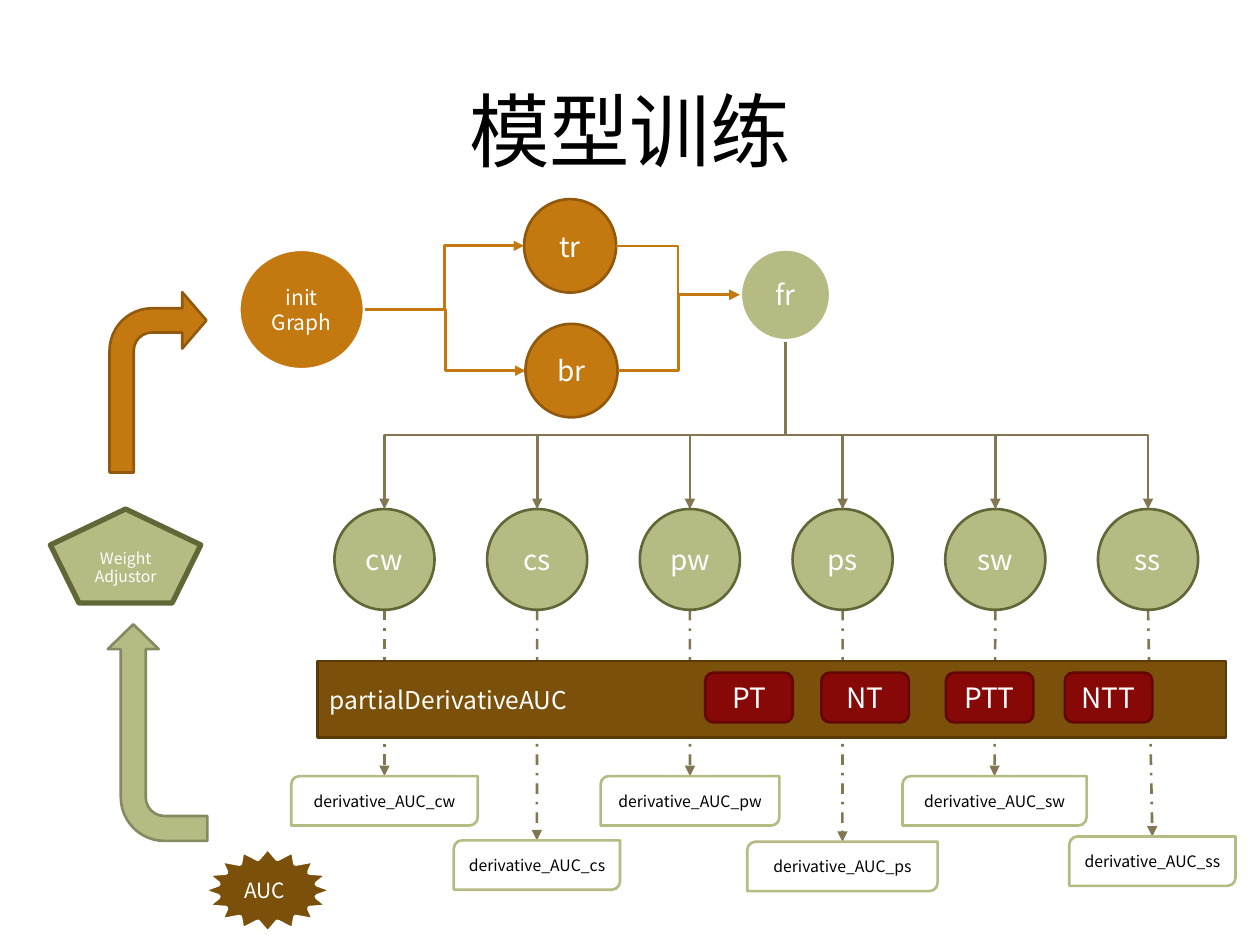
from lxml.etree import SubElement
from pptx import Presentation
from pptx.dml.color import RGBColor
from pptx.enum.dml import MSO_LINE as Dash
from pptx.enum.shapes import MSO_CONNECTOR as Link, MSO_SHAPE as Form
from pptx.enum.text import MSO_ANCHOR as Anchor, PP_ALIGN as Align
from pptx.oxml.ns import qn
from pptx.util import Pt

FONT = "Noto Sans CJK SC"
COLORS = {
    "white": "FFFFFF", "black": "000000", "taupe": "827752",
    "orange": "C47810", "dark orange": "91590C",
    "sage": "B5BB83", "olive": "626738", "dull sage": "868A61",
    "brown": "7A500A", "dark brown": "5A3B07",
    "red": "860908", "dark red": "630706",
}

# Content: lengths in points
TITLE = "模型训练"
# name: (lines, left, top, width, height, fill, outline, outline width, text size)
GRAPH_NODES = {
    "init": (["init", "Graph"], 136, 142, 72.7, 69.8, "orange", "white", 3, 12),
    "tr": (["tr"], 299.5, 113.8, 52.6, 53.4, "orange", "dark orange", 1.5, 16),
    "br": (["br"], 300.3, 185.1, 52.6, 53.4, "orange", "dark orange", 1.5, 16),
    "fr": (["fr"], 422.6, 141.8, 52.6, 53.4, "sage", "white", 3, 16),
}
GRAPH_LINKS = [("init", "tr"), ("init", "br"), ("tr", "fr"), ("br", "fr")]
# feature, left, top and width of its derivative box
FEATURES = [
    ("cw", 166.4, 443.5, 106.6), ("cs", 259.3, 480.2, 95),
    ("pw", 343.2, 443.5, 102.2), ("ps", 427, 481, 108.8),
    ("sw", 515.7, 443.5, 105.2), ("ss", 611, 478, 95),
]
SAMPLE_SETS = [("PT", 403), ("NT", 469.4), ("PTT", 540.5), ("NTT", 608.5)]
# left, top, width, height, rotation, adjustments, fill, outline
FEEDBACK_ARROWS = [
    (28.1, 390.2, 123.8, 56.9, 90, (.25, .256, .25, .438), "sage", "dull sage"),
    (62.6, 167, 55.4, 103, 180, (.25, .291, .25, .438), "orange", "dark orange"),
]
FIRST_CENTER, PITCH = 219.7, 87.27
CIRCLE_W, CIRCLE_H, CIRCLE_TOP = 57.2, 57.6, 290.9
BUS_SHARE = .559
BOX_H = 28.2

deck = Presentation()
deck.slide_width, deck.slide_height = Pt(720), Pt(540)
slide = deck.slides.add_slide(deck.slide_layouts[5])
shapes = slide.shapes


def color(name):
    return RGBColor.from_string(COLORS[name])


def write(frame, lines, size, ink="white", align=Align.CENTER, margin=0):
    frame.word_wrap = True
    frame.vertical_anchor = Anchor.MIDDLE
    frame.margin_left = frame.margin_right = Pt(margin)
    frame.margin_top = frame.margin_bottom = 0
    for i, line in enumerate(lines):
        paragraph = frame.add_paragraph() if i else frame.paragraphs[0]
        paragraph.alignment = align
        run = paragraph.add_run()
        run.text = line
        run.font.size, run.font.name = Pt(size), FONT
        run.font.color.rgb = color(ink)
        SubElement(run.font._element, qn("a:ea"), typeface=FONT)


def draw(form, left, top, width, height, fill, outline, weight=1.5):
    shape = shapes.add_shape(form, Pt(left), Pt(top), Pt(width), Pt(height))
    shape.shadow.inherit = False
    shape.fill.solid()
    shape.fill.fore_color.rgb = color(fill)
    shape.line.color.rgb = color(outline)
    shape.line.width = Pt(weight)
    return shape


def link(kind, start, end, ink="taupe", dash=None):
    connector = shapes.add_connector(kind, *map(Pt, (*start, *end)))
    connector.line.color.rgb = color(ink)
    connector.line.width = Pt(1.5)
    if dash:
        connector.line.dash_style = dash
    properties = connector._element.spPr
    SubElement(properties.find(qn("a:ln")), qn("a:tailEnd"), type="triangle")
    SubElement(properties, qn("a:effectLst"))
    return connector


def link_down(start, end, share):
    """Elbow that leaves downwards, runs sideways, then goes down again."""
    (x1, y1), (x2, y2) = start, end
    x, y = (x1 + x2) / 2, (y1 + y2) / 2
    half_drop, half_span = (y2 - y1) / 2, abs(x2 - x1) / 2
    side = 1 if x2 < x1 else -1
    connector = link(Link.ELBOW, (x - side * half_drop, y - half_span),
                     (x + side * half_drop, y + half_span))
    properties = connector._element.spPr
    properties.find(qn("a:xfrm")).set("rot", str((90 if side > 0 else 270) * 60000))
    guides = properties.find(qn("a:prstGeom")).get_or_add_avLst()
    SubElement(guides, qn("a:gd"), name="adj1", fmla=f"val {round(share * 100000)}")


# Title
title = shapes.title
title.left, title.top, title.width, title.height = map(Pt, (72, 39.6, 576, 68.4))
write(title.text_frame, [TITLE], 46, "black")

# Dashed lines from features to derivatives, behind the bar
centers = [FIRST_CENTER + PITCH * i for i in range(len(FEATURES))]
for center, (_, left, top, width) in zip(centers, FEATURES):
    link(Link.STRAIGHT, (center, CIRCLE_TOP + CIRCLE_H), (left + width / 2, top),
         dash=Dash.DASH_DOT)

# Graph nodes and their links
for lines, left, top, width, height, fill, outline, weight, size in GRAPH_NODES.values():
    node = draw(Form.OVAL, left, top, width, height, fill, outline, weight)
    write(node.text_frame, lines, size)
for source, target in GRAPH_LINKS:
    _, x1, y1, w1, h1, *_ = GRAPH_NODES[source]
    _, x2, y2, _, h2, *_ = GRAPH_NODES[target]
    link(Link.ELBOW, (x1 + w1, y1 + h1 / 2), (x2, y2 + h2 / 2), "orange")

# Feature circles, derivative boxes and the bus from fr
_, fr_left, fr_top, fr_width, fr_height, *_ = GRAPH_NODES["fr"]
fr_exit = (fr_left + fr_width / 2, fr_top + fr_height)
bus_y = fr_exit[1] + BUS_SHARE * (CIRCLE_TOP - fr_exit[1])
for center, (feature, left, top, width) in zip(centers, FEATURES):
    circle = draw(Form.OVAL, center - CIRCLE_W / 2, CIRCLE_TOP, CIRCLE_W, CIRCLE_H,
                  "sage", "olive")
    write(circle.text_frame, [feature], 16)
    derivative = draw(Form.ROUND_2_DIAG_RECTANGLE, left, top, width, BOX_H, "white", "sage")
    write(derivative.text_frame, [f"derivative_AUC_{feature}"], 9, "black")
    if center in (centers[0], centers[-1]):
        link_down(fr_exit, (center, CIRCLE_TOP), BUS_SHARE)
    else:
        link(Link.STRAIGHT, (center, bus_y), (center, CIRCLE_TOP))

# Partial derivative bar with sample sets
bar = draw(Form.RECTANGLE, 181.4, 377.8, 519.3, 43.6, "brown", "dark brown")
write(bar.text_frame, ["partialDerivativeAUC"], 14, align=Align.LEFT, margin=7.2)
for name, left in SAMPLE_SETS:
    sample_set = draw(Form.FLOWCHART_ALTERNATE_PROCESS, left, 384.4, 50, 28.4,
                      "red", "dark red")
    write(sample_set.text_frame, [name], 16)

# Feedback loop: AUC, weight adjustor and arrows
for left, top, width, height, rotation, adjustments, fill, outline in FEEDBACK_ARROWS:
    arrow = draw(Form.BENT_ARROW, left, top, width, height, fill, outline)
    arrow.rotation = rotation
    for i, value in enumerate(adjustments):
        arrow.adjustments[i] = value
    frame = arrow._element.spPr.find(qn("a:xfrm"))
    frame.set("flipH", "1")
    frame.set("flipV", "1")
adjustor = draw(Form.REGULAR_PENTAGON, 28.8, 290.9, 86, 53.8, "sage", "olive", 3)
write(adjustor.text_frame, ["Weight", "Adjustor"], 9)
auc = draw(Form.STAR_16_POINT, 114.5, 484, 77, 49.6, "brown", "white", 3)
write(auc.text_frame, ["AUC"], 12, align=Align.LEFT, margin=7.2)

deck.save("out.pptx")
